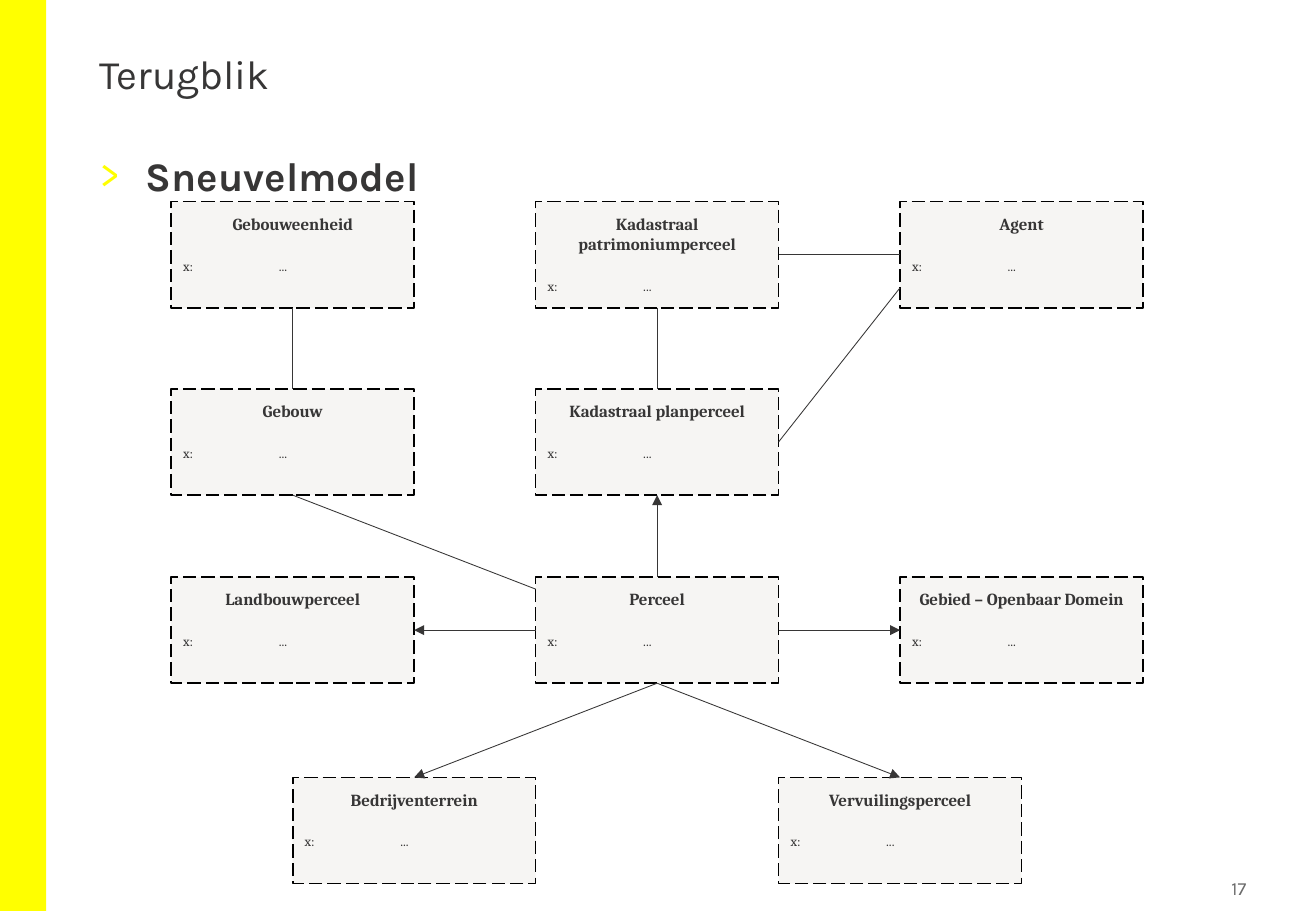
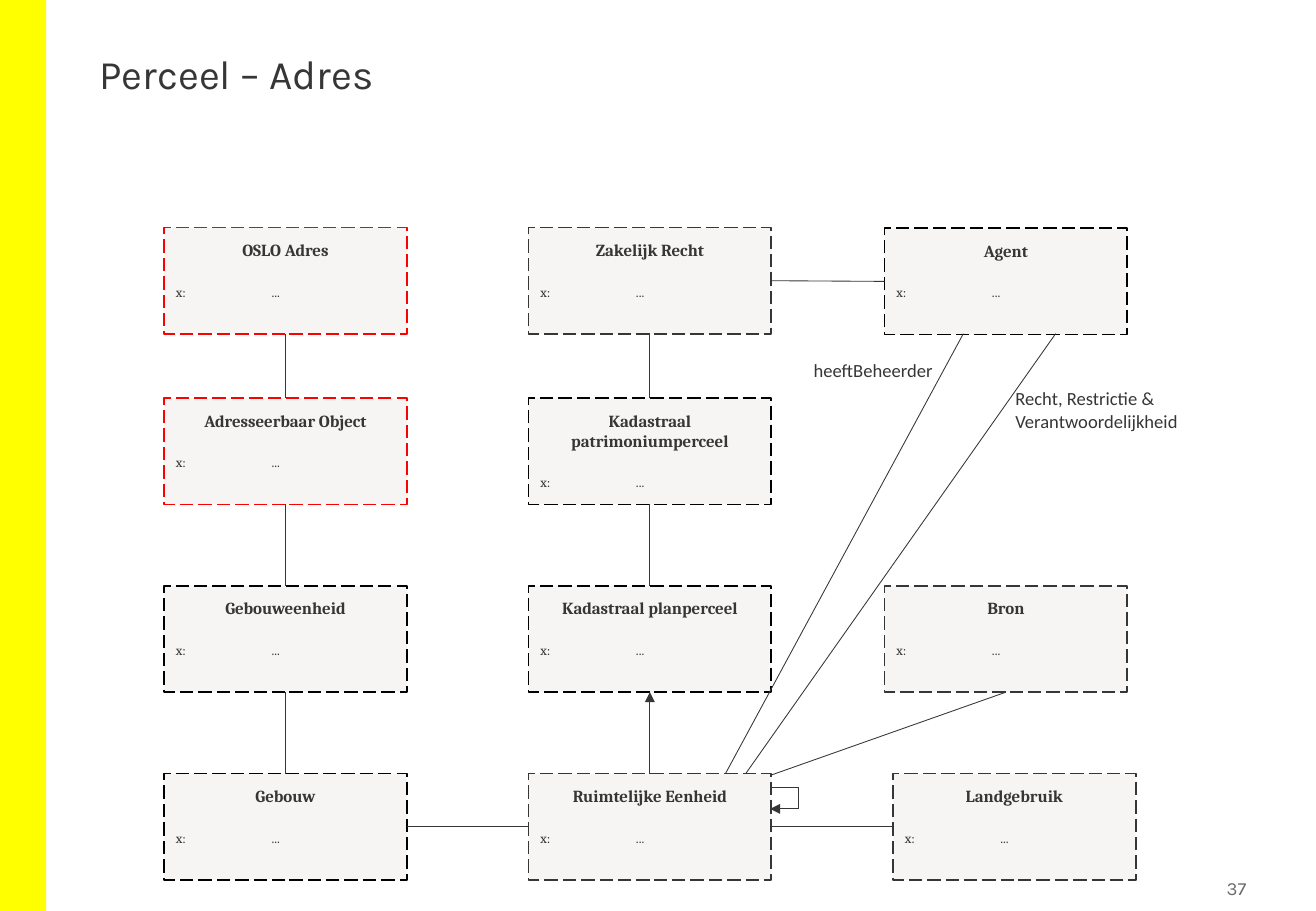
"""Build two slides of the parcel model: boxes joined by lines."""
import itertools
import lxml.etree
import pptx
import pptx.dml.color
import pptx.enum.dml
import pptx.enum.shapes
import pptx.enum.text
import pptx.oxml.ns
import pptx.util

Pt = pptx.util.Pt
qn = pptx.oxml.ns.qn
Add = lxml.etree.SubElement
Align = pptx.enum.text.PP_ALIGN
Anchor = pptx.enum.text.MSO_ANCHOR
Rect = pptx.enum.shapes.MSO_SHAPE.RECTANGLE
Line = pptx.enum.shapes.MSO_CONNECTOR.STRAIGHT

HUES = {"band": "FFFF00", "text": "373636", "page": "6B6B6B",
        "box": "F6F5F3", "black": "000000", "red": "FF0000"}
WIDE, HIGH = 144, 63
TOP, LEFT, BASE, RIGHT = range(4)
FRAME = {"word_wrap": True, "auto_size": pptx.enum.text.MSO_AUTO_SIZE.NONE,
         "vertical_anchor": Anchor.TOP}
HEAD = {"name": "Karla", "size": Pt(24), "bold": False}
ITEM = HEAD | {"bold": True}
PAGE = {"name": "Karla", "size": Pt(11)}
NAME = {"name": "Cambria", "size": Pt(10), "bold": True}
FIELD = {"name": "Cambria", "size": Pt(8), "bold": False}
LABEL = {"name": "Calibri", "size": Pt(11)}
INSET = {"margin_" + side: Pt(7.2) for side in ("left", "top", "right", "bottom")}
TIGHT = {side: Pt(3.6) for side in INSET}


def dress(item, form):
    for key, value in form.items():
        setattr(item, key, value)


def write(para, text, form, hue="text"):
    run = para.add_run()
    run.text = text
    dress(run.font, form)
    run.font.color.rgb = pptx.dml.color.RGBColor.from_string(HUES[hue])


COLS = [101.5 + 216 * i for i in range(3)]
ROWS = [119.5, 230.5, 342, 460.8]
COLS2 = [97.2 + 216 * i for i in range(3)]
ROWS2 = [134.9, 236, 347.3, 458.6]
EDGE = 524.2
LOOP = [(456.5, 466.6), (473, 466.6), (473, 479.5), (456.5, 479.5)]

DECK = [
    {"title": "Terugblik", "width": 238.3, "page": "17", "item": "Sneuvelmodel",
     "boxes": [
         ("Gebouweenheid", COLS[0], ROWS[0], "black"),
         ("Kadastraal patrimoniumperceel", COLS[1], ROWS[0], "black"),
         ("Agent", COLS[2], ROWS[0], "black"),
         ("Gebouw", COLS[0], ROWS[1], "black"),
         ("Kadastraal planperceel", COLS[1], ROWS[1], "black"),
         ("Landbouwperceel", COLS[0], ROWS[2], "black"),
         ("Perceel", COLS[1], ROWS[2], "black"),
         ("Gebied – Openbaar Domein", COLS[2], ROWS[2], "black"),
         ("Bedrijventerrein", COLS[1] - WIDE, ROWS[3], "black"),
         ("Vervuilingsperceel", COLS[1] + WIDE, ROWS[3], "black")],
     "links": [
         (("Gebouweenheid", BASE), ("Gebouw", TOP), False),
         (("Kadastraal patrimoniumperceel", BASE), ("Kadastraal planperceel", TOP), False),
         (("Kadastraal patrimoniumperceel", RIGHT), ("Agent", LEFT), False),
         ((COLS[2], 170.6), ("Kadastraal planperceel", RIGHT), False),
         (("Gebouw", BASE), (COLS[1], 349.2), False),
         (("Perceel", TOP), ("Kadastraal planperceel", BASE), True),
         (("Perceel", LEFT), ("Landbouwperceel", RIGHT), True),
         (("Perceel", RIGHT), ("Gebied – Openbaar Domein", LEFT), True),
         (("Perceel", BASE), ("Bedrijventerrein", TOP), True),
         (("Perceel", BASE), ("Vervuilingsperceel", TOP), True)],
     "labels": []},
    {"title": "Perceel – Adres", "width": 690.5, "page": "37", "item": None,
     "boxes": [
         ("OSLO Adres", COLS2[0], ROWS2[0], "red"),
         ("Zakelijk Recht", COLS2[1], ROWS2[0], "text"),
         ("Agent", EDGE, ROWS2[0] + 0.4, "black"),
         ("Adresseerbaar Object", COLS2[0], ROWS2[1], "red"),
         ("Kadastraal patrimoniumperceel", COLS2[1], ROWS2[1], "black"),
         ("Gebouweenheid", COLS2[0], ROWS2[2], "black"),
         ("Kadastraal planperceel", COLS2[1], ROWS2[2], "black"),
         ("Bron", EDGE, ROWS2[2], "text"),
         ("Gebouw", COLS2[0], ROWS2[3], "black"),
         ("Ruimtelijke Eenheid", COLS2[1], ROWS2[3], "text"),
         ("Landgebruik", COLS2[2], ROWS2[3], "text")],
     "links": [
         (("OSLO Adres", BASE), ("Adresseerbaar Object", TOP), False),
         (("Adresseerbaar Object", BASE), ("Gebouweenheid", TOP), False),
         (("Gebouweenheid", BASE), ("Gebouw", TOP), False),
         (("Gebouw", RIGHT), ("Ruimtelijke Eenheid", LEFT), False),
         (("Zakelijk Recht", BASE), ("Kadastraal patrimoniumperceel", TOP), False),
         (("Zakelijk Recht", RIGHT), ("Agent", LEFT), False),
         (("Kadastraal patrimoniumperceel", BASE), ("Kadastraal planperceel", TOP), False),
         (("Ruimtelijke Eenheid", TOP), ("Kadastraal planperceel", BASE), True),
         (("Landgebruik", LEFT), ("Ruimtelijke Eenheid", RIGHT), False),
         (("Bron", BASE), (457.2, 459.4), False),
         ((430, 458.6), (571, 197.8), False),
         ((442, 458.6), (625.7, 197.8), False),
         *((a, b, b == LOOP[-1]) for a, b in itertools.pairwise(LOOP))],
     "labels": [("heeftBeheerder", 475.2, 209.5, 95.8, 20.9),
                ("Recht, Restrictie & Verantwoordelijkheid", 594.7, 226, 114.5, 33.8)]},
]

prs = pptx.Presentation()
dress(prs, {"slide_width": Pt(780), "slide_height": Pt(540)})

for page in DECK:
    slide = prs.slides.add_slide(prs.slide_layouts[1 if page["item"] else 5])
    title = slide.shapes.title
    dress(title, {"left": Pt(51.8), "top": Pt(28.8),
                  "width": Pt(page["width"]), "height": Pt(104.4)})
    dress(title.text_frame, FRAME)
    para = title.text_frame.paragraphs[0]
    dress(para, {"alignment": Align.LEFT, "line_spacing": 0.9})
    write(para, page["title"], HEAD)

    if page["item"]:
        body = slide.placeholders[1]
        dress(body, {"left": Pt(51.8), "top": Pt(85.7),
                     "width": Pt(673.9), "height": Pt(424.8)})
        dress(body.text_frame, FRAME)
        props = body.element.txBody.p_lst[0].get_or_add_pPr()
        props.set("marL", str(Pt(27.4)))
        props.set("indent", str(-Pt(27.4)))
        Add(Add(props, qn("a:buClr")), qn("a:srgbClr"), val=HUES["band"])
        Add(props, qn("a:buFont"), typeface="Karla")
        Add(props, qn("a:buChar"), char=">")
        para = body.text_frame.paragraphs[0]
        para.space_before = Pt(0)
        write(para, page["item"], ITEM)

    foot = slide.shapes.add_textbox(Pt(684), Pt(516.2), Pt(58.3), Pt(20.9)).text_frame
    dress(foot, FRAME | TIGHT | {"vertical_anchor": Anchor.MIDDLE})
    foot.paragraphs[0].alignment = Align.RIGHT
    write(foot.paragraphs[0], page["page"], PAGE, "page")

    boxes = {}
    for name, left, top, hue in page["boxes"]:
        box = slide.shapes.add_shape(Rect, Pt(left), Pt(top), Pt(WIDE), Pt(HIGH))
        boxes[name] = box
        box.shadow.inherit = False
        box.fill.solid()
        box.fill.fore_color.rgb = pptx.dml.color.RGBColor.from_string(HUES["box"])
        box.line.color.rgb = pptx.dml.color.RGBColor.from_string(HUES[hue])
        dress(box.line, {"width": Pt(1), "dash_style": pptx.enum.dml.MSO_LINE.LONG_DASH})
        dress(box.text_frame, FRAME | INSET)
        para = box.text_frame.paragraphs[0]
        para.alignment = Align.CENTER
        write(para, name, NAME)
        para = box.text_frame.add_paragraph()
        tabs = Add(box.element.txBody.p_lst[1].get_or_add_pPr(), qn("a:tabLst"))
        for stop in (28.35, 56.7):
            Add(tabs, qn("a:tab"), pos=str(Pt(stop)), algn="l")
        dress(para, {"alignment": Align.LEFT, "space_before": Pt(14)})
        write(para, "x:\t\t...", FIELD)

    for start, end, arrow in page["links"]:
        ends = [(0, 0) if spot[0] in boxes else spot for spot in (start, end)]
        link = slide.shapes.add_connector(Line, *(Pt(n) for spot in ends for n in spot))
        if start[0] in boxes:
            link.begin_connect(boxes[start[0]], start[1])
        if end[0] in boxes:
            link.end_connect(boxes[end[0]], end[1])
        link.line.color.rgb = pptx.dml.color.RGBColor.from_string(HUES["text"])
        link.line.width = Pt(0.5)
        props = link.element.spPr
        if arrow:
            Add(props.find(qn("a:ln")), qn("a:tailEnd"), type="triangle")
        Add(props, qn("a:effectLst"))

    for text, *place in page["labels"]:
        label = slide.shapes.add_textbox(*map(Pt, place)).text_frame
        dress(label, FRAME)
        write(label.paragraphs[0], text, LABEL)

band = slide.shapes.add_shape(Rect, 0, 0, Pt(27.4), prs.slide_height)
band.shadow.inherit = False
band.fill.solid()
band.fill.fore_color.rgb = pptx.dml.color.RGBColor.from_string(HUES["band"])
band.line.fill.background()
prs.slide_master.element.cSld.spTree.insert(2, band.element)

prs.save("out.pptx")
